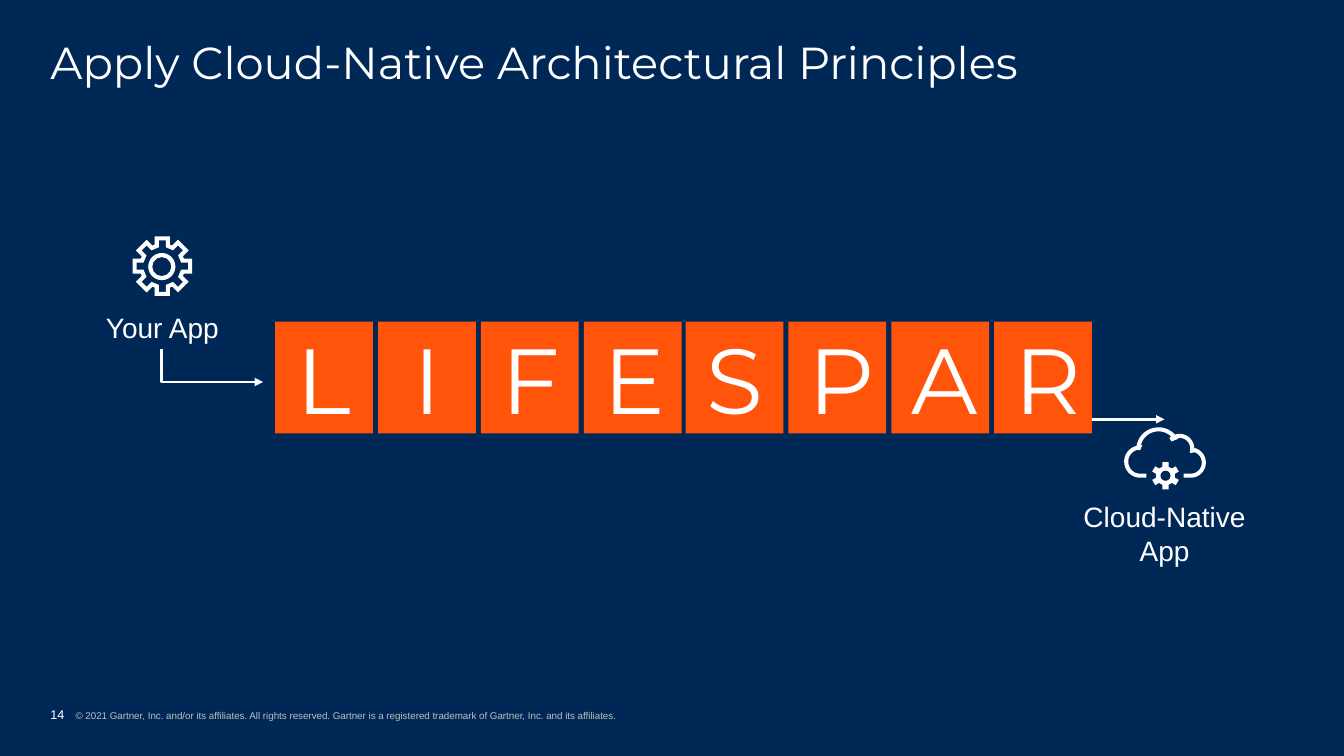
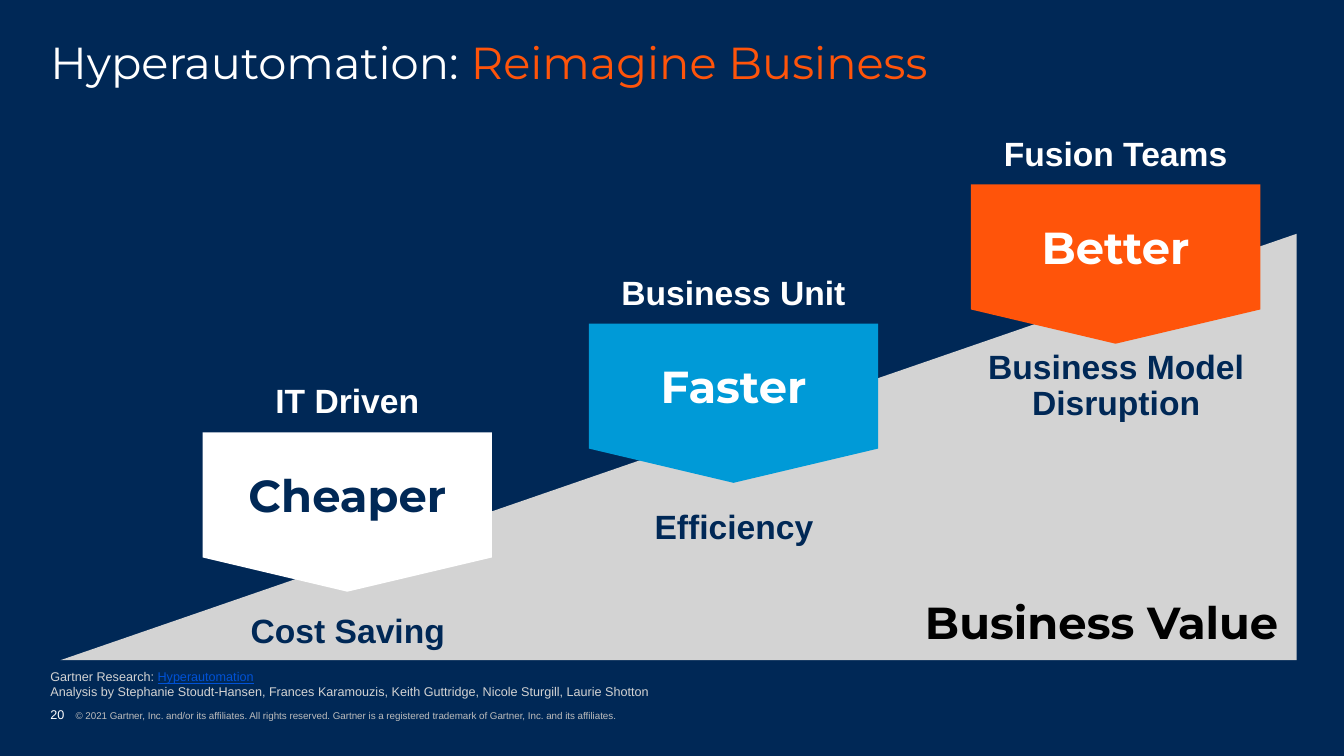
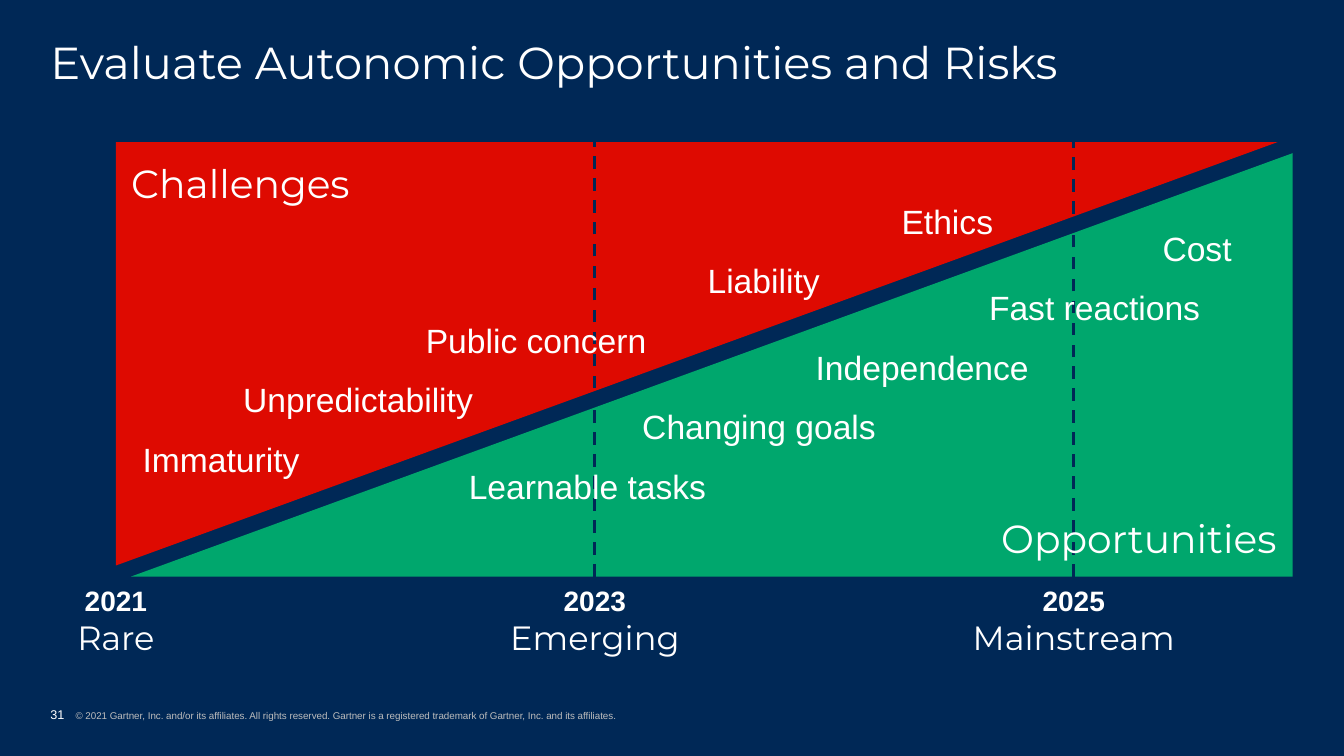
from math import cos, radians, sin

from lxml import etree
from pptx import Presentation
from pptx import util as u
from pptx.dml.color import RGBColor
from pptx.enum import dml, shapes, text
from pptx.oxml.ns import qn

PX = 9144  # 100 px to the inch
KIND = shapes.MSO_SHAPE
WIRE = shapes.MSO_CONNECTOR
LEFT, MID, RIGHT = text.PP_ALIGN.LEFT, text.PP_ALIGN.CENTER, text.PP_ALIGN.RIGHT
TOP, CENTER, BASE = text.MSO_ANCHOR.TOP, text.MSO_ANCHOR.MIDDLE, text.MSO_ANCHOR.BOTTOM


class Theme:
    navy, white, black = "002856", "FFFFFF", "000000"
    orange, blue, link = "FF540A", "009AD7", "0052D6"
    red, green = "DE0A01", "00A76D"
    pale, dim = "D3D3D3", "BDBDBD"
    types = {
        "title": dict(name="Montserrat", size=32, bold=False),
        "strong": dict(name="Montserrat", size=32, bold=True),
        "tile": dict(name="Montserrat", size=66, bold=False),
        "zone": dict(name="Montserrat", size=28, bold=False),
        "stage": dict(name="Montserrat", size=24, bold=False),
        "label": dict(name="Arial", size=24, bold=False),
        "head": dict(name="Arial", size=24, bold=True),
        "year": dict(name="Arial", size=20, bold=True),
        "icon": dict(name="Arial", size=20, bold=False),
        "note": dict(name="Arial", size=9, bold=False),
        "link": dict(name="Arial", size=9, bold=False, underline=True),
        "legal": dict(name="Arial", size=7, bold=False),
    }


def put(slide, kind, box, fill=None, lines=(), align=LEFT, pad=(0, 5), anchor=TOP, space=None):
    """Add a shape, or a text box if kind is None; a line is a list of (words, type, colour)."""
    box = [n * PX for n in box]
    if kind is None:
        item = slide.shapes.add_textbox(*box)
    else:
        item = slide.shapes.add_shape(kind, *box)
        item.shadow.inherit = False
        item.line.fill.background()
        item.fill.solid()
        item.fill.fore_color.rgb = RGBColor.from_string(fill)
    frame = item.text_frame
    side, edge = (n * PX for n in pad)
    form = dict(word_wrap=True, vertical_anchor=anchor, margin_left=side,
                margin_right=side, margin_top=edge, margin_bottom=edge)
    for key, val in form.items():
        setattr(frame, key, val)
    for i, line in enumerate(lines):
        para = frame.add_paragraph() if i else frame.paragraphs[0]
        para.alignment = align
        para.line_spacing = space
        for words, style, tint in line:
            run = para.add_run()
            run.text = words
            for key, val in Theme.types[style].items():
                setattr(run.font, key, u.Pt(val) if key == "size" else val)
            run.font.color.rgb = RGBColor.from_string(tint)
    return item


def wire(slide, kind, ends, tint, width):
    item = slide.shapes.add_connector(kind, *[n * PX for n in ends])
    item.line.color.rgb = RGBColor.from_string(tint)
    item.line.width = u.Pt(width)
    etree.SubElement(item.element.spPr, qn("a:effectLst"))
    return item


deck = Presentation()
deck.slide_width, deck.slide_height = 1333 * PX, 750 * PX
back = deck.slide_master.background.fill
back.solid()
back.fore_color.rgb = RGBColor.from_string(Theme.navy)

# Titles and footers
LEGAL = ("\t© 2021 Gartner, Inc. and/or its affiliates. All rights reserved. "
         "Gartner is a registered trademark of Gartner, Inc. and its affiliates.")
pages = []
for number, title in (
    ("14", [("Apply Cloud-Native Architectural Principles", "title", Theme.white)]),
    ("20", [("Hyperautomation: ", "title", Theme.white),
            ("Reimagine Business", "title", Theme.orange)]),
    ("31", [("Evaluate Autonomic Opportunities and Risks", "title", Theme.white)]),
):
    page = deck.slides.add_slide(deck.slide_layouts[6])
    foot = put(page, None, (50, 701, 785, 15), pad=(0, 0), anchor=BASE,
               lines=[[(number, "note", Theme.white), (LEGAL, "legal", Theme.dim)]])
    props = foot.text_frame.paragraphs[0]._p.get_or_add_pPr()
    props.set("marL", str(25 * PX))
    props.set("indent", str(-25 * PX))
    put(page, None, (50, 40, 1233, 48), lines=[title], pad=(0, 0), space=0.9)
    pages.append(page)
cloud, value, risk = pages

# Cloud-native principles: arrows, tiles, icons
for ends, turn, flip, tip in (
    ((194, 312, 227, 413), 270, "1", "a:tailEnd"),
    ((1044, 383, 1155, 416), 180, "0", "a:headEnd"),
):
    bend = wire(cloud, WIRE.ELBOW, ends, Theme.white, 2)
    props = bend.element.spPr
    props.find(qn("a:prstGeom")).set("prst", "bentConnector2")
    props.xfrm.set("rot", str(turn * 60000))
    props.xfrm.set("flipH", flip)
    etree.SubElement(props.find(qn("a:ln")), qn(tip), type="triangle")

for i, letter in enumerate("LIFESPAR"):
    put(cloud, KIND.RECTANGLE, (273 + round(i * 713 / 7), 319, 97, 111), Theme.orange,
        [[(letter, "tile", Theme.white)]], MID, (20, 0), CENTER)

for box, words in (((70, 303, 182, 44), "Your App"),
                   ((1064, 491, 182, 77), "Cloud-Native App")):
    put(cloud, None, box, lines=[[(words, "icon", Theme.white)]], align=MID)

outlines = []
for x, y, teeth, half, root, tip, solid in (
    (161, 264, 8, 5.5, 20, 27.5, False),
    (1156, 472, 6, 3, 9, 13.5, True),
):
    spots = []
    for i in range(teeth):
        a = radians(360 / teeth * i)
        for dx, dy in ((-half, -root), (-half, -tip), (half, -tip), (half, -root)):
            spots.append((x + dx * cos(a) - dy * sin(a), y + dx * sin(a) + dy * cos(a)))
    outlines.append((spots, True, solid))

spots = [(1174, 472)]
for x, y, r, start, end in (
    (1181, 459, 13, 90, -70), (1170, 445, 12.5, 10, -135),
    (1149, 446, 20, -35, -180), (1131, 458, 14, -95, -270),
):
    for i in range(25):
        a = radians(start + (end - start) * i / 24)
        spots.append((x + r * cos(a), y + r * sin(a)))
outlines.append((spots + [(1137, 472)], False, False))

for spots, closed, solid in outlines:
    spots = [(round(x * PX), round(y * PX)) for x, y in spots]
    pen = cloud.shapes.build_freeform(*spots[0])
    pen.add_line_segments(spots[1:], close=closed)
    icon = pen.convert_to_shape()
    icon.shadow.inherit = False
    if solid:
        icon.fill.solid()
        icon.fill.fore_color.rgb = RGBColor.from_string(Theme.white)
        icon.line.fill.background()
    else:
        icon.fill.background()
        icon.line.color.rgb = RGBColor.from_string(Theme.white)
        icon.line.width = 4 * PX
        etree.SubElement(icon.element.spPr.find(qn("a:ln")), qn("a:miter"), lim="800000")

put(cloud, KIND.OVAL, (1151, 467, 10, 10), Theme.navy)
hub = put(cloud, KIND.DONUT, (147, 251, 27, 27), Theme.white)
hub.adjustments[0] = 0.15

# Business value steps
put(value, None, (50, 664, 681, 30), pad=(0, 0), anchor=BASE, lines=[
    [("Gartner Research: ", "note", Theme.pale), ("Hyperautomation", "link", Theme.link)],
    [("Analysis by Stephanie Stoudt-Hansen, Frances Karamouzis, Keith Guttridge, "
      "Nicole Sturgill, Laurie Shotton", "note", Theme.pale)],
])
slope = put(value, KIND.RIGHT_TRIANGLE, (60, 232, 1226, 423), Theme.pale)
slope.element.spPr.xfrm.set("flipH", "1")
put(value, None, (835, 591, 443, 59), lines=[[("Business Value", "strong", Theme.black)]],
    align=RIGHT, pad=(10, 5), space=0.9)

for x, y, low, fill, ink, owner, word, gain in (
    (201, 429, 605, Theme.white, Theme.navy, "IT Driven", "Cheaper", "Cost Saving"),
    (584, 321, 502, Theme.blue, Theme.white, "Business Unit", "Faster", "Efficiency"),
    (963, 183, 343, Theme.orange, Theme.white, "Fusion Teams", "Better",
     "Business Model Disruption"),
):
    put(value, None, (x, y - 52, 287, 46), lines=[[(owner, "head", Theme.white)]],
        align=MID, pad=(10, 5), space=0.9)
    arrow = put(value, KIND.DOWN_ARROW, (x, y, 287, 158), fill,
                [[(word, "strong", ink)]], MID, (7, 4), CENTER)
    arrow.adjustments[0], arrow.adjustments[1] = 1, 0.215
    put(value, None, (x - 18, low, 324, 46), lines=[[(gain, "head", Theme.navy)]],
        align=MID, pad=(10, 5), space=0.9)

# Opportunities and risks
for box, fill, turn in (((130, 152, 1152, 420), Theme.green, 0),
                        ((115, 141, 1152, 420), Theme.red, 180)):
    zone = put(risk, KIND.RIGHT_TRIANGLE, box, fill)
    zone.element.spPr.xfrm.set("flipH", "1")
    zone.rotation = turn

for x, high, low in ((590, 385, 405), (1065, 212, 233)):
    for start, end in ((572, low), (high, 141)):
        mark = wire(risk, WIRE.STRAIGHT, (x, start, x, end), Theme.navy, 2.25)
        mark.line.dash_style = dml.MSO_LINE.DASH

for i, (year, stage) in enumerate((("2021", "Rare"), ("2023", "Emerging"),
                                   ("2025", "Mainstream"))):
    put(risk, None, (475 * i, 574, 230, 84), align=MID,
        lines=[[(year, "year", Theme.white)], [(stage, "stage", Theme.white)]])

put(risk, None, (130, 153, 368, 51), lines=[[("Challenges", "zone", Theme.white)]])
put(risk, None, (914, 505, 352, 57), lines=[[("Opportunities", "zone", Theme.white)]], align=RIGHT)

pairs = (("Ethics", "Cost"), ("Liability", "Fast reactions"),
         ("Public concern", "Independence"), ("Unpredictability", "Changing goals"),
         ("Immaturity", "Learnable tasks"))
for i, (threat, chance) in enumerate(pairs):
    end, start = 985 - 172 * i, 1153 - 172 * i
    put(risk, None, (end - 250, 194 + 59 * i, 250, 45), align=RIGHT,
        lines=[[(threat, "label", Theme.white)]])
    put(risk, None, (start, 221 + 59 * i, min(250, 1282 - start), 45),
        lines=[[(chance, "label", Theme.white)]])

deck.save("out.pptx")
